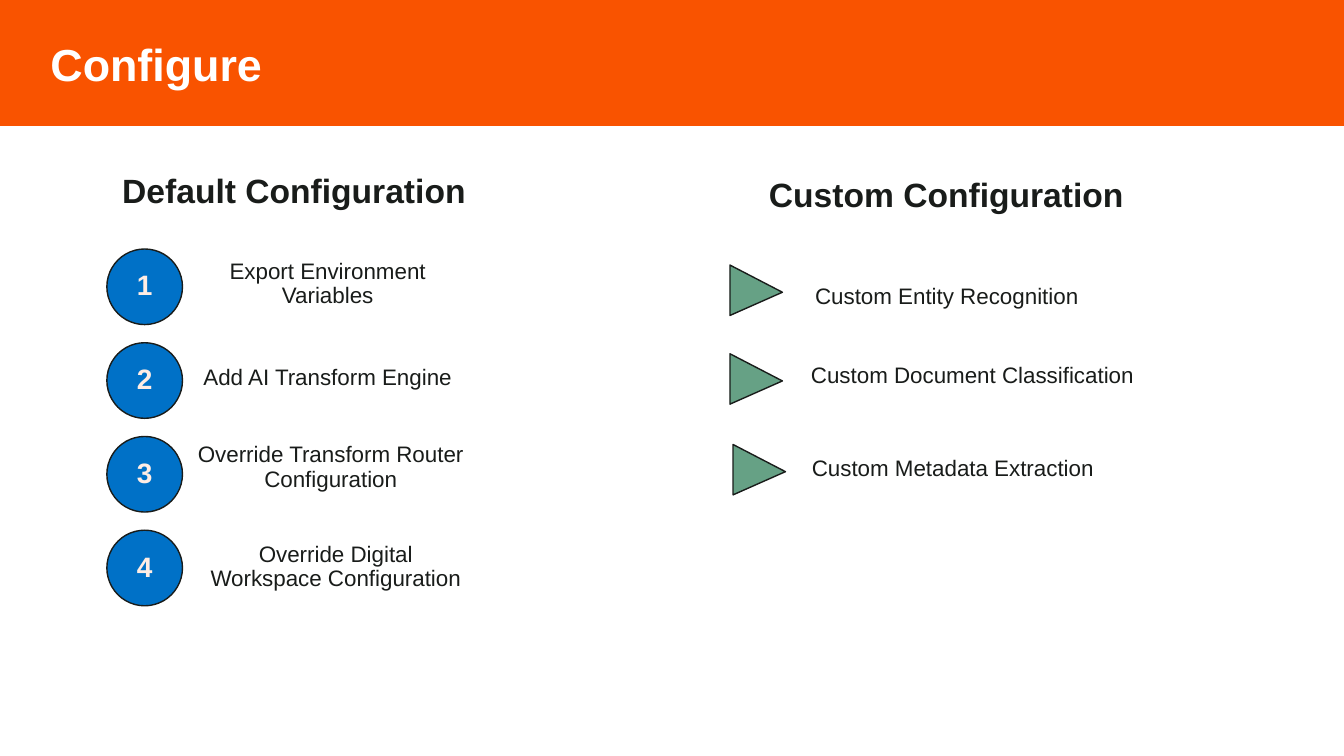
"""Build the Configure slide with its default and custom configuration columns."""
from pptx import Presentation
from pptx.dml.color import RGBColor
from pptx.enum.shapes import MSO_SHAPE
from pptx.enum.text import MSO_ANCHOR, MSO_AUTO_SIZE, PP_ALIGN
from pptx.util import Emu, Pt

ORANGE = RGBColor(0xF9, 0x53, 0x00)
BLUE = RGBColor(0x00, 0x71, 0xC7)
GREEN = RGBColor(0x66, 0xA1, 0x85)
INK = RGBColor(0x19, 0x1C, 0x1A)
CREAM = RGBColor(0xFF, 0xED, 0xE4)
WHITE = RGBColor(0xFF, 0xFF, 0xFF)

PX = 9144
DISC_LEFT, DISC_TOP, DISC_SIZE, DISC_PITCH = 106, 247, 75, 93

STEPS = [
    ("Export Environment Variables", 181, 246),
    ("Add AI Transform Engine", 181, 339),
    ("Override Transform Router Configuration", 184, 428),
    ("Override Digital Workspace Configuration", 189, 527),
]
CUSTOM_ITEMS = [
    ("Custom Entity Recognition", (770, 247, 338, 95), (725, 262)),
    ("Custom Document Classification", (788, 326, 353, 95), (725, 350)),
    ("Custom Metadata Extraction", (776, 418, 338, 95), (728, 440)),
]


def apply(target, values):
    for name, value in values.items():
        setattr(target, name, value)


class SlideBuilder:
    def __init__(self, page):
        self.page = page
        self.font = "Arial"

    def px(self, *lengths):
        return [Emu(length * PX) for length in lengths]

    def add_text(self, box, text, size, color, bold=False, align=PP_ALIGN.CENTER,
                 spacing=0.9, after=0, insets=(10, 10, 10, 10)):
        frame = box.text_frame
        left, top, right, bottom = self.px(*insets)
        apply(frame, {
            "word_wrap": True, "auto_size": MSO_AUTO_SIZE.NONE,
            "vertical_anchor": MSO_ANCHOR.MIDDLE,
            "margin_left": left, "margin_top": top,
            "margin_right": right, "margin_bottom": bottom,
        })
        para = frame.paragraphs[0]
        apply(para, {"alignment": align, "line_spacing": spacing,
                     "space_before": Pt(0), "space_after": Pt(after)})
        span = para.add_run()
        span.text = text
        apply(span.font, {"name": self.font, "size": Pt(size), "bold": bold})
        span.font.color.rgb = color

    def title(self, text, width, height):
        box = self.page.shapes.title
        apply(box, dict(zip(("left", "top", "width", "height"),
                            self.px(0, 0, width, height))))
        box.fill.solid()
        box.fill.fore_color.rgb = ORANGE
        self.add_text(box, text, 32, WHITE, True, PP_ALIGN.LEFT, 0.85,
                      insets=(50, 10, 10, 0))

    def shape(self, kind, bounds, fill):
        box = self.page.shapes.add_shape(kind, *self.px(*bounds))
        box.shadow.inherit = False
        box.fill.solid()
        box.fill.fore_color.rgb = fill
        box.line.color.rgb = INK
        box.line.width = Pt(1)
        return box

    def disc(self, number, left, top):
        box = self.shape(MSO_SHAPE.OVAL, (left, top, DISC_SIZE, DISC_SIZE), BLUE)
        self.add_text(box, str(number), 20, CREAM, True)

    def pointer(self, left, top):
        box = self.shape(MSO_SHAPE.ISOSCELES_TRIANGLE, (left, top, 50, 52), GREEN)
        box.rotation = 90
        box.adjustments[0] = 0.54

    def label(self, text, bounds, size=16, bold=False):
        box = self.page.shapes.add_textbox(*self.px(*bounds))
        self.add_text(box, text, size, INK, bold, after=6)


def main():
    deck = Presentation()
    deck.slide_width, deck.slide_height = Emu(1333 * PX), Emu(750 * PX)
    slide = SlideBuilder(deck.slides.add_slide(deck.slide_layouts[5]))

    slide.title("Configure", 1333, 125)
    slide.label("Default Configuration", (104, 139, 375, 104), 24, True)
    slide.label("Custom Configuration", (751, 143, 375, 104), 24, True)

    for index, (text, left, top) in enumerate(STEPS):
        slide.disc(index + 1, DISC_LEFT, DISC_TOP + index * DISC_PITCH)
        slide.label(text, (left, top, 288, 72))

    for text, bounds, pointer_at in CUSTOM_ITEMS:
        slide.label(text, bounds)
        slide.pointer(*pointer_at)

    deck.save("out.pptx")


if __name__ == "__main__":
    main()
